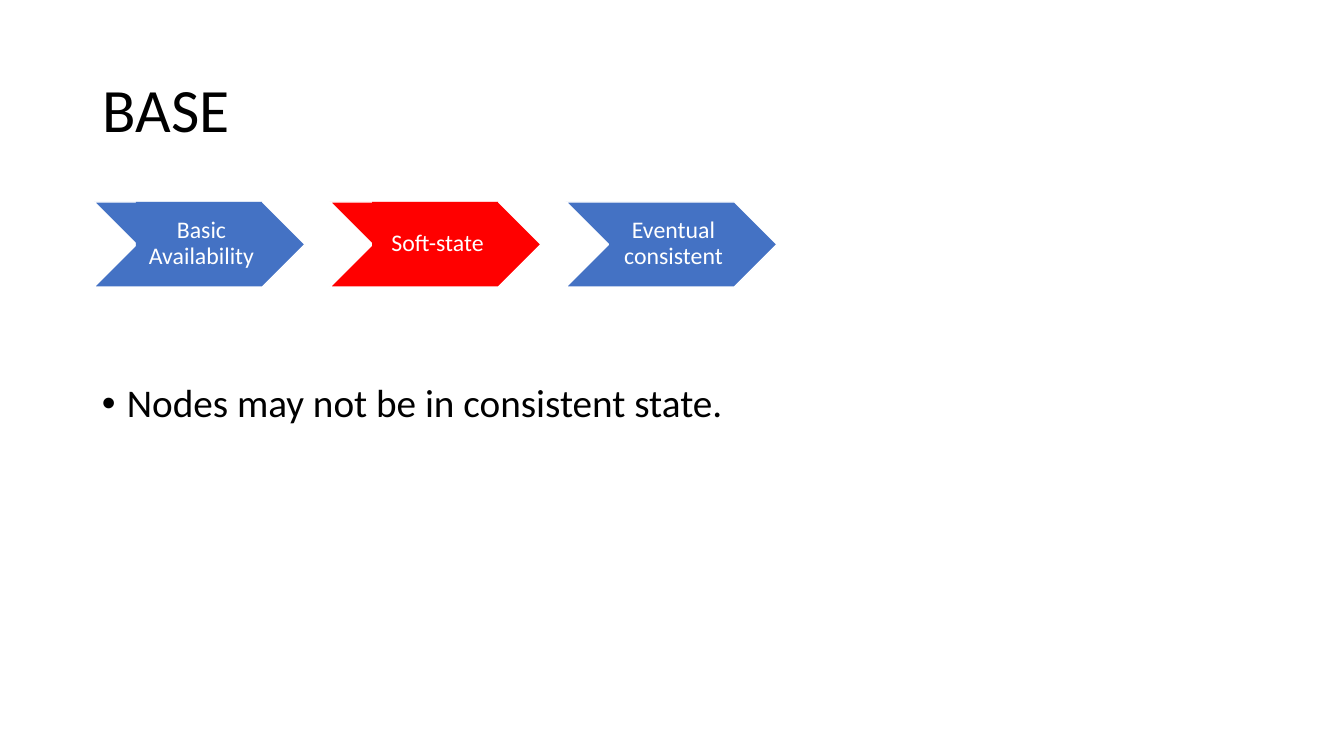
from lxml import etree
from pptx import Presentation
from pptx.dml.color import RGBColor
from pptx.enum.shapes import MSO_SHAPE
from pptx.enum.text import MSO_ANCHOR, PP_ALIGN
from pptx.oxml.ns import qn
from pptx.util import Pt

CHEVRON, RECTANGLE = MSO_SHAPE.CHEVRON, MSO_SHAPE.RECTANGLE
TOP, MIDDLE = MSO_ANCHOR.TOP, MSO_ANCHOR.MIDDLE
LEFT, CENTER, JUSTIFY = PP_ALIGN.LEFT, PP_ALIGN.CENTER, PP_ALIGN.JUSTIFY

BLACK = RGBColor(0x00, 0x00, 0x00)
WHITE = RGBColor(0xFF, 0xFF, 0xFF)
BLUE = RGBColor(0x44, 0x72, 0xC4)
RED = RGBColor(0xFF, 0x00, 0x00)

FONT = "Calibri"
EMU_PER_PX = 914400 / 100.8

# Chevron text, chevron colour, label fill
PROPERTIES = [
    ("Basic Availability", BLUE, BLUE),
    ("Soft-state", RED, RED),
    ("Eventual consistent", BLUE, None),
]
CHEVRON_LEFT, CHEVRON_TOP, CHEVRON_PITCH = 94, 202, 236
CHEVRON_WIDTH, CHEVRON_HEIGHT = 211, 85
LABEL_OFFSET, LABEL_WIDTH, LABEL_HEIGHT = 42, 126, 84


def px(length):
    return round(length * EMU_PER_PX)


def box(*lengths):
    return [px(length) for length in lengths]


def write(shape, text, size, color, align, anchor, insets):
    """Put one formatted paragraph in a shape and return it."""
    frame = shape.text_frame
    frame.text = text
    frame.word_wrap = True
    frame.vertical_anchor = anchor
    (frame.margin_left, frame.margin_top,
     frame.margin_right, frame.margin_bottom) = box(*insets)
    paragraph = frame.paragraphs[0]
    paragraph.alignment = align
    paragraph.line_spacing = 0.9
    font = paragraph.runs[0].font
    font.name, font.size, font.color.rgb = FONT, Pt(size), color
    return paragraph


def add_bullet(paragraph, indent):
    properties = paragraph._p.get_or_add_pPr()
    properties.set("marL", str(px(indent)))
    properties.set("indent", str(-px(indent)))
    etree.SubElement(properties, qn("a:buFont")).set("typeface", "Arial")
    etree.SubElement(properties, qn("a:buChar")).set("char", "•")


def add_property(slide, left, text, color, label_fill):
    """Add a chevron grouped with its label."""
    group = slide.shapes.add_group_shape()
    chevron = group.shapes.add_shape(
        CHEVRON, *box(left, CHEVRON_TOP, CHEVRON_WIDTH, CHEVRON_HEIGHT))
    chevron.shadow.inherit = False
    chevron.fill.solid()
    chevron.fill.fore_color.rgb = color
    chevron.line.color.rgb = WHITE
    chevron.line.width = Pt(1)

    label = group.shapes.add_shape(
        RECTANGLE,
        *box(left + LABEL_OFFSET, CHEVRON_TOP, LABEL_WIDTH, LABEL_HEIGHT))
    label.shadow.inherit = False
    label.line.fill.background()
    if label_fill is None:
        label.fill.background()
    else:
        label.fill.solid()
        label.fill.fore_color.rgb = label_fill
    write(label, text, 17, WHITE, CENTER, MIDDLE, (7, 2, 2, 2))


def main():
    presentation = Presentation()
    presentation.slide_width, presentation.slide_height = box(1344, 756)
    slide = presentation.slides.add_slide(presentation.slide_layouts[6])

    # Title
    title = slide.shapes.add_textbox(*box(93, 40, 1159, 146))
    write(title, "BASE", 44, BLACK, LEFT, MIDDLE, (10, 5, 10, 5))

    # Explanation, set one line below the top of its box
    explanation = slide.shapes.add_textbox(*box(92, 334, 1159, 351))
    sentence = write(explanation, "Nodes may not be in consistent state.",
                     28, BLACK, JUSTIFY, TOP, (10, 62, 10, 5))
    add_bullet(sentence, 25)

    # The three BASE properties
    for index, (text, color, label_fill) in enumerate(PROPERTIES):
        left = CHEVRON_LEFT + index * CHEVRON_PITCH
        add_property(slide, left, text, color, label_fill)

    presentation.save("out.pptx")


main()
